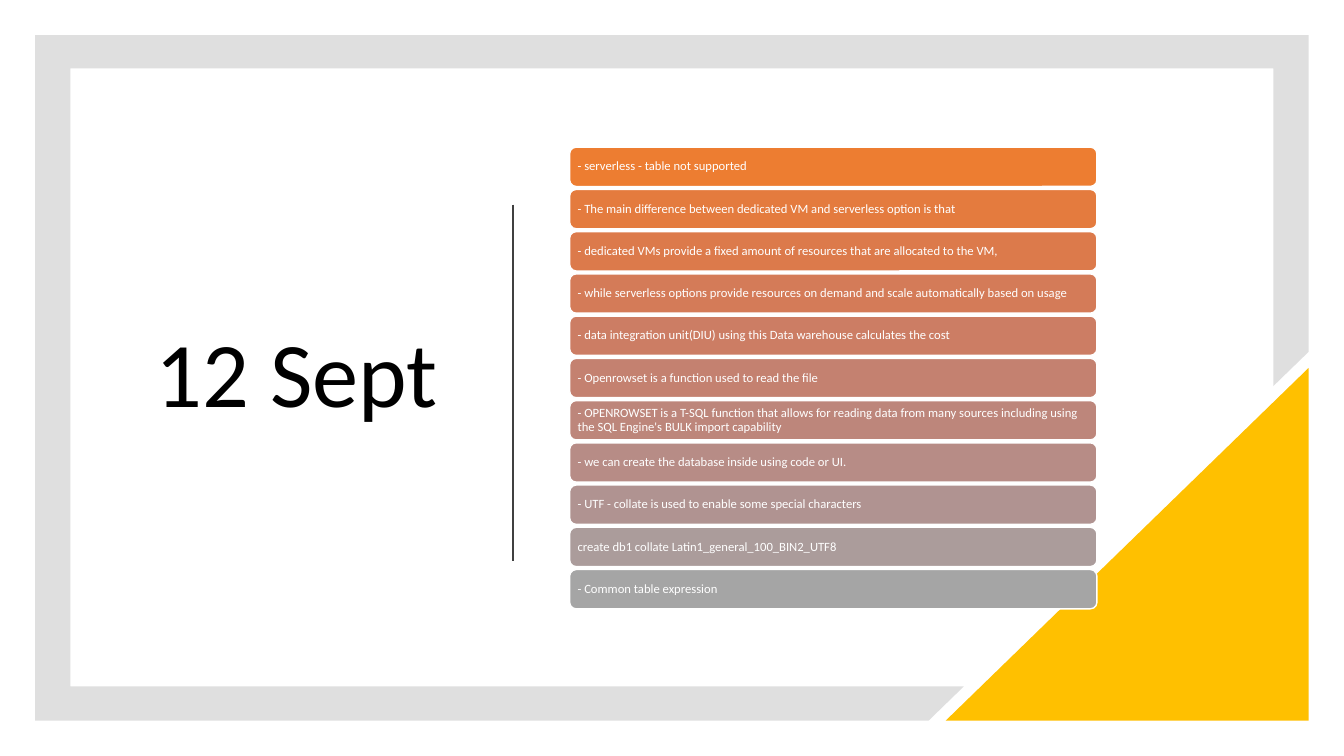
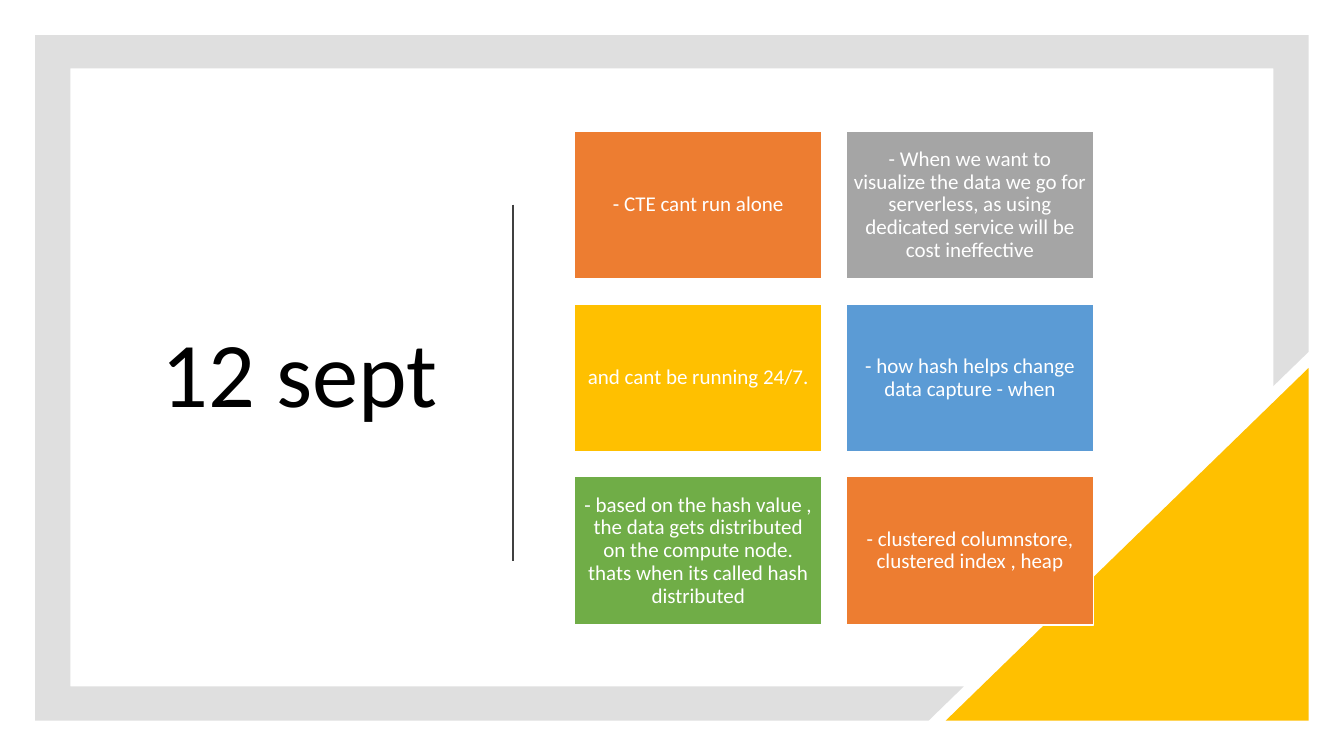
import colorsys

import pptx
import pptx.dml.color
import pptx.enum.shapes
import pptx.enum.text
import pptx.oxml
import pptx.oxml.ns
import pptx.util

Inches = pptx.util.Inches
Pt = pptx.util.Pt
SHAPES = pptx.enum.shapes.MSO_SHAPE
ALIGN = pptx.enum.text.PP_ALIGN

FONT = "Calibri"
COLORS = {
    "black": "000000",
    "white": "FFFFFF",
    "frame": "808080",
    "divider": "404040",
    "orange": "ED7D31",
    "gray": "A5A5A5",
    "gold": "FFC000",
    "blue": "5B9BD5",
    "green": "70AD47",
}

BARS_TITLE = "12 Sept"
BARS = [
    "- serverless - table not supported",
    "- The main difference between dedicated VM and serverless option is that",
    "- dedicated VMs provide a fixed amount of resources that are allocated to the VM,",
    "- while serverless options provide resources on demand and scale automatically based on usage",
    "- data integration unit(DIU) using this Data warehouse calculates the cost",
    "- Openrowset is a function used to read the file",
    "- OPENROWSET is a T-SQL function that allows for reading data from many sources "
    "including using the SQL Engine's BULK import capability",
    "- we can create the database inside using code or UI.",
    "- UTF - collate is used to enable some special characters",
    "create db1 collate Latin1_general_100_BIN2_UTF8",
    "- Common table expression",
]

TILES_TITLE = "12 sept"
TILES = [
    ("- CTE cant run alone", "orange"),
    ("- When we want to visualize the data we go for serverless, "
     "as using dedicated service will be cost ineffective", "gray"),
    ("and cant be running 24/7.", "gold"),
    ("- how hash helps change data capture - when", "blue"),
    ("- based on the hash value , the data gets distributed on the compute node. "
     "thats when its called hash distributed", "green"),
    ("- clustered columnstore, clustered index , heap", "orange"),
]

FRAME_POINTS = [
    (0.35, 0.35), (12.98, 0.35), (12.98, 3.49), (12.63, 3.83), (12.63, 0.68),
    (0.7, 0.68), (0.7, 6.81), (9.56, 6.81), (9.21, 7.15), (0.35, 7.15),
]


def rgb(value):
    return pptx.dml.color.RGBColor.from_string(value)


def blend(start, end, fraction):
    first, last = (
        colorsys.rgb_to_hls(*(channel / 255 for channel in rgb(value)))
        for value in (start, end)
    )
    mixed = [a + (b - a) * fraction for a, b in zip(first, last)]
    return "".join(f"{round(channel * 255):02X}" for channel in colorsys.hls_to_rgb(*mixed))


def paint(shape, fill, outline=None):
    shape.shadow.inherit = False
    shape.fill.solid()
    shape.fill.fore_color.rgb = rgb(fill)
    if outline:
        shape.line.color.rgb = rgb(outline)
        shape.line.width = Pt(1)
    else:
        shape.line.fill.background()


def write(shape, text, size, color, alignment, margins):
    frame = shape.text_frame
    frame.word_wrap = True
    frame.vertical_anchor = pptx.enum.text.MSO_ANCHOR.MIDDLE
    frame.margin_left = frame.margin_right = Inches(margins[0])
    frame.margin_top = frame.margin_bottom = Inches(margins[1])
    paragraph = frame.paragraphs[0]
    paragraph.alignment = alignment
    paragraph.line_spacing = 0.9
    run = paragraph.add_run()
    run.text = text
    run.font.name = FONT
    run.font.size = Pt(size)
    run.font.color.rgb = rgb(color)


def add_box(slide, kind, box, fill, text, size, alignment):
    shape = slide.shapes.add_shape(kind, *map(Inches, box))
    paint(shape, fill, COLORS["white"])
    write(shape, text, size, COLORS["white"], alignment, (0.06, 0.06))
    return shape


def add_frame(slide):
    points = [(Inches(x), Inches(y)) for x, y in FRAME_POINTS]
    builder = slide.shapes.build_freeform(*points[0], scale=1.0)
    builder.add_line_segments(points[1:], close=True)
    frame = builder.convert_to_shape()
    paint(frame, COLORS["frame"])
    color = frame.element.spPr.find(".//" + pptx.oxml.ns.qn("a:srgbClr"))
    color.append(pptx.oxml.parse_xml(
        f'<a:alpha {pptx.oxml.ns.nsdecls("a")} val="25000"/>'))


def add_corner(slide):
    corner = slide.shapes.add_shape(
        SHAPES.RIGHT_TRIANGLE, Inches(9.38), Inches(3.65), Inches(3.6), Inches(3.5))
    paint(corner, COLORS["gold"])
    corner.element.spPr.xfrm.set("flipH", "1")


def add_divider(slide):
    divider = slide.shapes.add_connector(
        pptx.enum.shapes.MSO_CONNECTOR.STRAIGHT,
        Inches(5.09), Inches(2.03), Inches(5.09), Inches(5.57))
    divider.line.color.rgb = rgb(COLORS["divider"])
    divider.line.width = Pt(1.5)
    divider.element.spPr.append(pptx.oxml.parse_xml(
        f'<a:effectLst {pptx.oxml.ns.nsdecls("a")}/>'))


def add_base_slide(presentation, title):
    slide = presentation.slides.add_slide(presentation.slide_layouts[6])
    add_frame(slide)
    add_corner(slide)
    title_box = slide.shapes.add_textbox(Inches(1.1), Inches(1.3), Inches(3.34), Inches(4.9))
    write(title_box, title, 66, COLORS["black"], ALIGN.RIGHT, (0.1, 0.05))
    add_divider(slide)
    return slide


def add_bars(slide):
    left, top, width, height, pitch = 5.65, 1.46, 5.23, 0.39, 0.419
    for index, text in enumerate(BARS):
        fill = blend(COLORS["orange"], COLORS["gray"], index / (len(BARS) - 1))
        box = (left, top + index * pitch, width, height)
        add_box(slide, SHAPES.ROUNDED_RECTANGLE, box, fill, text, 9, ALIGN.LEFT)


def add_tiles(slide):
    left, top, width, height, gap, columns = 5.7, 1.3, 2.45, 1.47, 0.245, 2
    for index, (text, color) in enumerate(TILES):
        row, column = divmod(index, columns)
        box = (left + column * (width + gap), top + row * (height + gap), width, height)
        add_box(slide, SHAPES.RECTANGLE, box, COLORS[color], text, 15, ALIGN.CENTER)


def main():
    presentation = pptx.Presentation()
    presentation.slide_width = Inches(13.33)
    presentation.slide_height = Inches(7.5)
    add_bars(add_base_slide(presentation, BARS_TITLE))
    add_tiles(add_base_slide(presentation, TILES_TITLE))
    presentation.save("out.pptx")


if __name__ == "__main__":
    main()
